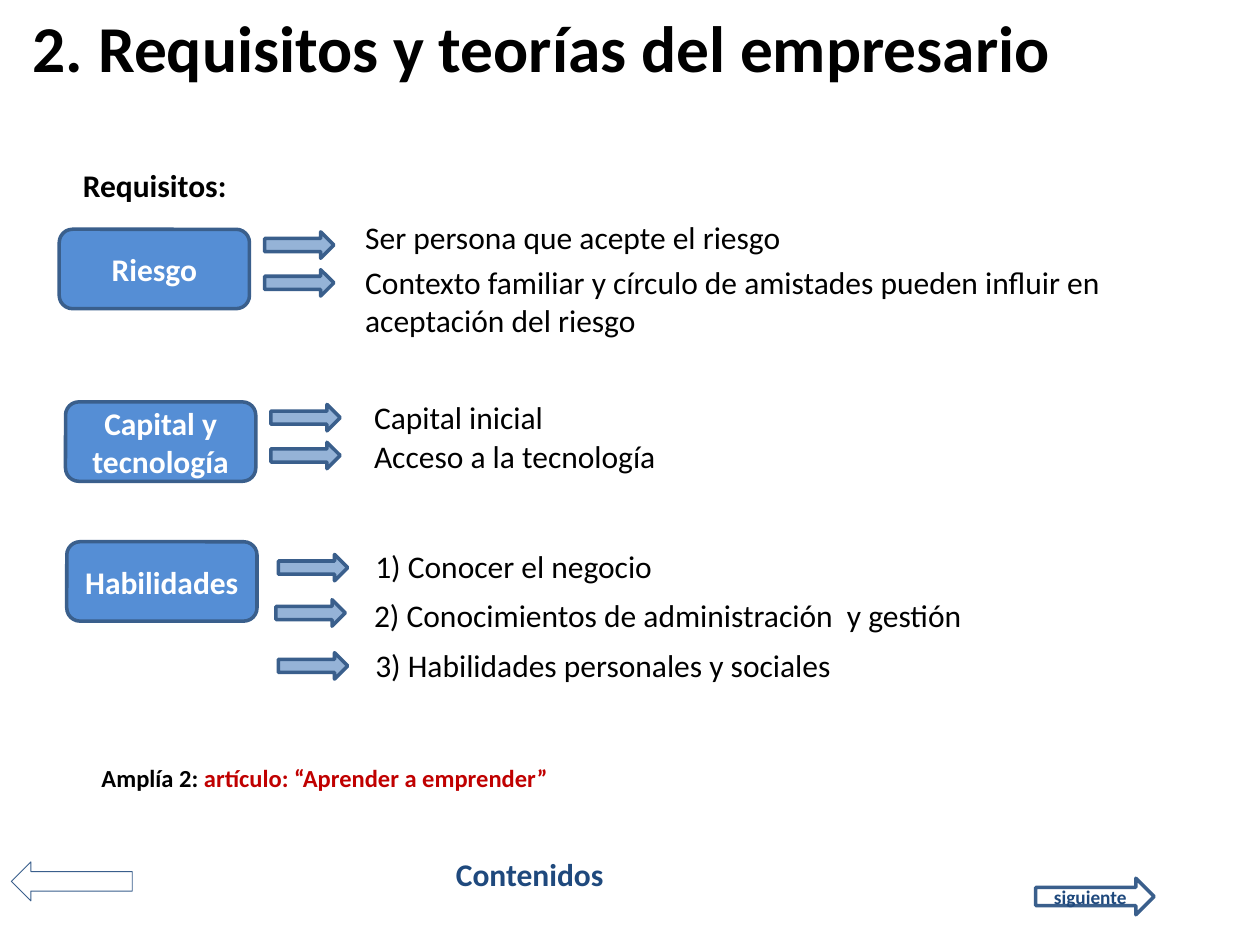
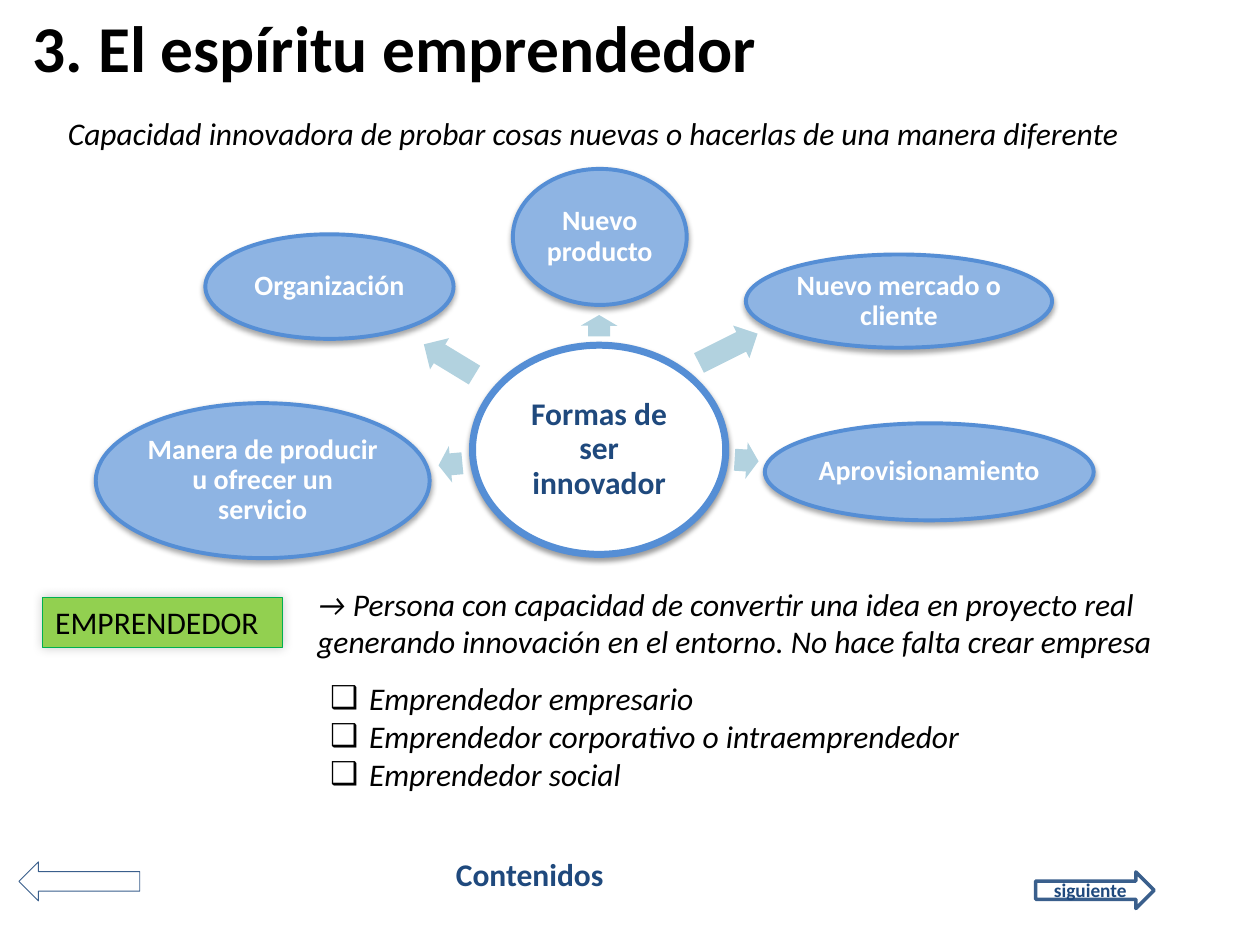
from dataclasses import dataclass
from typing import Any

from lxml import etree
from pptx import Presentation
from pptx.dml.color import RGBColor
from pptx.enum import shapes, text
from pptx.oxml import ns
from pptx.util import Inches, Pt

FONT = "Calibri"
BLACK, WHITE, RED = "000000", "FFFFFF", "C00000"
NAVY, EDGE, BLUE = "1F497D", "3A5F8C", "558ED5"
STEEL, SKY, MIST = "95B3D7", "8EB4E3", "B2D2DF"
LIME, GREEN = "92D050", "00B050"

KIND = shapes.MSO_SHAPE
LEFT, MID = text.PP_ALIGN.LEFT, text.PP_ALIGN.CENTER
TOP, HALF = text.MSO_ANCHOR.TOP, text.MSO_ANCHOR.MIDDLE

Box = tuple[float, float, float, float]


@dataclass
class Point:
    """One requirement line: its arrow and its text."""
    arrow: tuple[float, float]
    spot: tuple[float, float]
    words: str
    width: float = 3.78
    height: float = 0.4


@dataclass
class Need:
    label: str
    left: float
    top: float
    points: list[Point]


@dataclass
class Way:
    """One way to innovate: its oval and the arrow that leads to it."""
    label: str
    oval: Box
    arrow: Box
    turn: float


@dataclass
class Shade:
    alpha: int
    blur: float
    dist: float
    angle: int


NEEDS = [
    Need("Riesgo", 0.47, 1.82, [
        Point((2.1, 1.84), (2.8, 1.68), "Ser persona que acepte el riesgo"),
        Point((2.1, 2.14), (2.8, 2.04),
              "Contexto familiar y círculo de amistades pueden influir en "
              "aceptación del riesgo", 6.14, 0.71)]),
    Need("Capital y tecnología", 0.52, 3.19, [
        Point((2.15, 3.21), (2.87, 3.11), "Capital inicial"),
        Point((2.15, 3.51), (2.87, 3.42), "Acceso a la tecnología")]),
    Need("Habilidades", 0.53, 4.3, [
        Point((2.21, 4.4), (2.88, 4.29), "1) Conocer el negocio"),
        Point((2.19, 4.76), (2.87, 4.68),
              "2) Conocimientos de administración  y gestión", 5.15),
        Point((2.21, 5.18), (2.88, 5.08),
              "3) Habilidades personales y sociales", 4.09)]),
]

WAYS = [
    Way("Nuevo producto", (4.07, 1.34, 1.38, 1.08), (4.67, 2.44, 0.17, 0.29), 270.3),
    Way("Nuevo mercado o cliente", (5.92, 2.02, 2.43, 0.74), (5.52, 2.62, 0.52, 0.29), 333.4),
    Way("Aprovisionamiento", (6.07, 3.36, 2.61, 0.77), (5.83, 3.51, 0.19, 0.29), 3.6),
    Way("Manera de producir u ofrecer un servicio", (0.76, 3.2, 2.65, 1.23),
        (3.48, 3.54, 0.19, 0.29), 174.9),
    Way("Organización", (1.63, 1.86, 1.97, 0.83), (3.33, 2.71, 0.47, 0.29), 211.3),
]

KINDS = ["Emprendedor empresario",
         "Emprendedor corporativo o intraemprendedor",
         "Emprendedor social"]


# Basic tools
def tint(code: str) -> RGBColor:
    return RGBColor.from_string(code)


def place(shape: Any, box: Box) -> None:
    shape.left, shape.top, shape.width, shape.height = map(Inches, box)


def write(shape: Any, *lines: Any, size: float = 18, color: str = BLACK,
          bold: bool = False, slant: bool = False, align: Any = LEFT,
          anchor: Any = TOP, space: float = 1, inset: float | None = None) -> None:
    """Fill a shape; a line is a string or a list of (string, colour) runs."""
    frame = shape.text_frame
    frame.word_wrap = True
    frame.auto_size = text.MSO_AUTO_SIZE.NONE
    frame.vertical_anchor = anchor
    if inset is not None:
        frame.margin_left = frame.margin_right = Inches(inset)
        frame.margin_top = frame.margin_bottom = Inches(inset)
    for rank, line in enumerate(lines):
        para = frame.add_paragraph() if rank else frame.paragraphs[0]
        para.alignment, para.line_spacing = align, space
        para.space_before = Pt(0)
        for words, hue in [(line, color)] if isinstance(line, str) else line:
            run = para.add_run()
            run.text = words
            font = run.font
            font.name, font.size = FONT, Pt(size)
            font.bold, font.italic = bold, slant
            font.color.rgb = tint(hue)


def note(slide: Any, box: Box, *lines: Any, **form: Any) -> None:
    write(slide.shapes.add_textbox(*map(Inches, box)), *lines, **form)


def draw(slide: Any, kind: Any, box: Box, fill: str | None = None,
         line: str | None = None, weight: float = 2,
         shade: Shade | None = None) -> Any:
    shape = slide.shapes.add_shape(kind, *map(Inches, box))
    shape.shadow.inherit = False
    if fill:
        shape.fill.solid()
        shape.fill.fore_color.rgb = tint(fill)
    else:
        shape.fill.background()
    if line:
        shape.line.color.rgb = tint(line)
        shape.line.width = Pt(weight)
    else:
        shape.line.fill.background()
    if shade:
        cast(shape, shade)
    return shape


def cast(shape: Any, shade: Shade) -> None:
    effects = shape.element.spPr.find(ns.qn("a:effectLst"))
    outer = etree.SubElement(
        effects, ns.qn("a:outerShdw"), blurRad=str(Pt(shade.blur)),
        dist=str(Pt(shade.dist)), dir=str(shade.angle * 60000), rotWithShape="0")
    color = etree.SubElement(outer, ns.qn("a:srgbClr"), val=BLACK)
    etree.SubElement(color, ns.qn("a:alpha"), val=str(shade.alpha * 1000))


def mark(para: Any, sign: str, indent: float) -> None:
    props = para._p.get_or_add_pPr()
    props.set("marL", str(Inches(indent)))
    props.set("indent", str(-Inches(indent)))
    etree.SubElement(props, ns.qn("a:buChar"), char=sign)


# Shared title and footer
def start(deck: Any, layout: int, title: str, back: float, next_top: float) -> Any:
    slide = deck.slides.add_slide(deck.slide_layouts[layout])
    head = slide.shapes.title
    place(head, (0.16, 0.05, 9, 0.63))
    write(head, title, size=37.4, bold=True, anchor=HALF)
    note(slide, (3.52, 6.74, 1.44, 0.4), "Contenidos", color=NAVY, bold=True)
    draw(slide, KIND.LEFT_ARROW, (back, 6.84, 0.96, 0.31), line=EDGE, weight=0.5)
    onward = draw(slide, KIND.RIGHT_ARROW, (8.22, next_top, 0.94, 0.29), line=EDGE)
    write(onward, "siguiente", size=11, color=NAVY, bold=True, align=MID, anchor=HALF)
    return slide


# Slide 1: requirements
def show_needs(deck: Any) -> None:
    slide = start(deck, 5, "2. Requisitos y teorías del empresario", 0.09, 6.97)
    note(slide, (0.56, 1.27, 1.34, 0.4), "Requisitos:", bold=True)
    for need in NEEDS:
        card = draw(slide, KIND.ROUNDED_RECTANGLE, (need.left, need.top, 1.51, 0.63),
                    BLUE, EDGE)
        write(card, need.label, color=WHITE, bold=True, align=MID, anchor=HALF)
        for point in need.points:
            draw(slide, KIND.RIGHT_ARROW, (*point.arrow, 0.55, 0.21), STEEL, EDGE)
            note(slide, (*point.spot, point.width, point.height), point.words)
    note(slide, (0.28, 6.01, 4.64, 0.34),
         [("Amplía 2:", BLACK), (" artículo: “Aprender a emprender” ", RED)],
         size=14, bold=True, align=MID)


# Slide 2: enterprise spirit
def show_ways(deck: Any) -> None:
    slide = start(deck, 1, "3. El espíritu emprendedor", 0.15, 6.92)
    note(slide, (0.44, 0.86, 8.91, 0.4),
         "Capacidad innovadora de probar cosas nuevas o hacerlas de una manera diferente",
         slant=True)

    # Hub and ways
    hub = draw(slide, KIND.OVAL, (3.75, 2.74, 2.01, 1.66), WHITE, BLUE, 4,
               Shade(38, 3.1, 1.6, 90))
    write(hub, "Formas de ser innovador", color=NAVY, bold=True, align=MID,
          anchor=HALF, space=0.9, inset=0.03)
    for way in WAYS:
        arrow = draw(slide, KIND.RIGHT_ARROW, way.arrow, MIST)
        arrow.adjustments[0] = 0.6
        arrow.rotation = way.turn
        oval = draw(slide, KIND.OVAL, way.oval, SKY, BLUE, 2.25,
                    Shade(35, 3.1, 1.8, 90))
        write(oval, way.label, size=16, color=WHITE, bold=True, align=MID,
              anchor=HALF, space=0.9, inset=0.02)

    # Definition and list
    tag = draw(slide, KIND.RECTANGLE, (0.34, 4.74, 1.9, 0.4), LIME, GREEN, 0.75,
               Shade(20, 6, 0, 225))
    write(tag, "EMPRENDEDOR")
    note(slide, (2.42, 4.59, 7.25, 0.71),
         "→ Persona con capacidad de convertir una idea en proyecto real "
         "generando innovación en el entorno. No hace falta crear empresa",
         slant=True)
    body = slide.placeholders[1]
    place(body, (2.52, 5.34, 5.83, 1.01))
    write(body, *KINDS, slant=True)
    for para in body.text_frame.paragraphs:
        mark(para, "❑", 0.31)


def main() -> None:
    deck = Presentation()
    deck.slide_width, deck.slide_height = Inches(10), Inches(7.5)
    show_needs(deck)
    show_ways(deck)
    deck.save("out.pptx")


if __name__ == "__main__":
    main()
